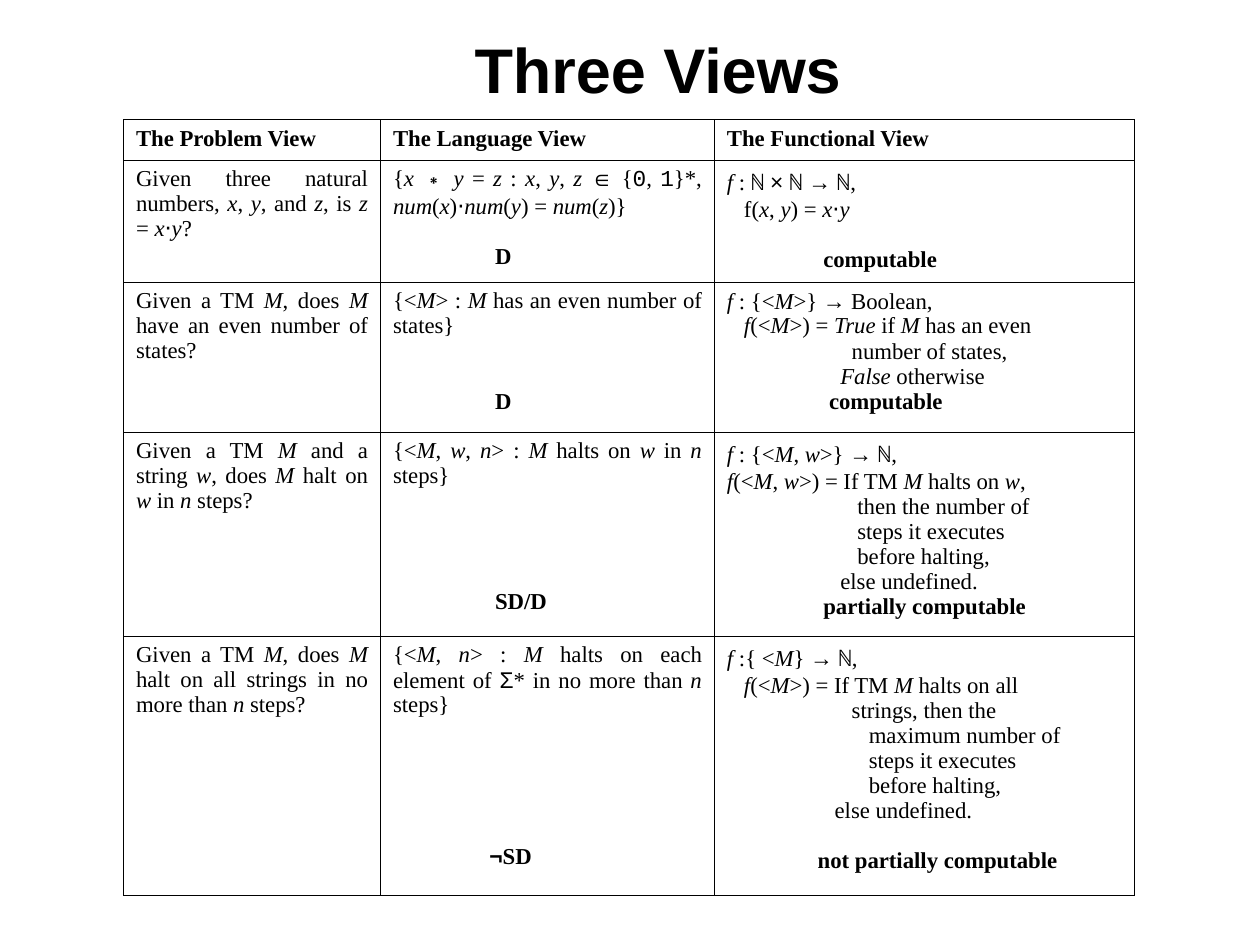
from itertools import groupby

from lxml import etree
from pptx import Presentation
from pptx.dml.color import RGBColor
from pptx.enum.text import MSO_ANCHOR, PP_ALIGN
from pptx.oxml import parse_xml
from pptx.oxml.ns import nsdecls, qn
from pptx.util import Inches, Pt

CENTER = PP_ALIGN.CENTER
JUSTIFY = PP_ALIGN.JUSTIFY
MIDDLE = MSO_ANCHOR.MIDDLE
TOP = MSO_ANCHOR.TOP

COLORS = {"ink": "000000", "paper": "FFFFFF"}
TITLE_FONT = "Arial"
BODY_FONT = "Times New Roman"
SYMBOL_FONTS = {
    **dict.fromkeys("⋅∗∈×→Σ¬", "Arial"),
    "ℕ": "Noto Sans Mono",
    **dict.fromkeys("01", "Courier New"),
}
ITALIC_MARK = "_"
BOLD_MARK = "|"
BODY_SIZE = 13
LINE_HEIGHT = 14.4
INDENT_STEP = 0.045
BORDER_WIDTH = 0.45

COLUMN_WIDTHS = [2.04, 2.65, 3.33]
ROW_HEIGHTS = [0.32, 0.97, 1.19, 1.62, 2.06]


def line(text, indent=0, blank_lines=0):
    return text, indent, blank_lines


VIEWS = [
    [
        [line("|The Problem View|")],
        [line("|The Language View|")],
        [line("|The Functional View|")],
    ],
    [
        [line("Given three natural numbers, _x_, _y_, and _z_, is _z_ = _x_⋅_y_?")],
        [
            line("{_x_ ∗ _y_ = _z_ : _x_, _y_, _z_ ∈ {0, 1}*, "
                 "_num_(_x_)⋅_num_(_y_) = _num_(_z_)}"),
            line("|D|", 18, 1),
        ],
        [
            line("_f_ : ℕ × ℕ → ℕ,"),
            line("f(_x_, _y_) = _x_⋅_y_", 3),
            line("|computable|", 17, 1),
        ],
    ],
    [
        [line("Given a TM _M_, does _M_ have an even number of states?")],
        [
            line("{<_M_> : _M_ has an even number of states}"),
            line("|D|", 18, 2),
        ],
        [
            line("_f_ : {<_M_>} → Boolean,"),
            line("_f_(<_M_>) = _True_ if _M_ has an even", 3),
            line("number of states,", 22),
            line("_False_ otherwise", 20),
            line("|computable|", 18),
        ],
    ],
    [
        [line("Given a TM _M_ and a string _w_, does _M_ halt on _w_ in _n_ steps?")],
        [
            line("{<_M_, _w_, _n_> : _M_ halts on _w_ in _n_ steps}"),
            line("|SD/D|", 18, 4),
        ],
        [
            line("_f_ : {<_M_, _w_>} → ℕ,"),
            line("_f_(<_M_, _w_>) = If TM _M_ halts on _w_,"),
            line("then the number of", 23),
            line("steps it executes", 23),
            line("before halting,", 23),
            line("else undefined.", 20),
            line("|partially computable|", 17),
        ],
    ],
    [
        [line("Given a TM _M_, does _M_ halt on all strings in no more than _n_ steps?")],
        [
            line("{<_M_, _n_> : _M_ halts on each element of Σ* "
                 "in no more than _n_ steps}"),
            line("|¬SD|", 17, 5),
        ],
        [
            line("_f_ :{ <_M_} → ℕ,"),
            line("_f_(<_M_>) = If TM _M_ halts on all", 3),
            line("strings, then the", 22),
            line("maximum number of", 25),
            line("steps it executes", 25),
            line("before halting,", 25),
            line("else undefined.", 19),
            line("|not partially computable|", 16, 1),
        ],
    ],
]


def styled_characters(text, font_name):
    italic = bold = False
    for character in text:
        if character == ITALIC_MARK:
            italic = not italic
        elif character == BOLD_MARK:
            bold = not bold
        else:
            yield character, (SYMBOL_FONTS.get(character, font_name), italic, bold)


def write_text(paragraph, text, size=BODY_SIZE, font_name=BODY_FONT,
               alignment=JUSTIFY, indent=0, blank_lines=0):
    paragraph.alignment = alignment
    if blank_lines:
        paragraph.space_before = Pt(blank_lines * LINE_HEIGHT)
    if indent:
        properties = paragraph._p.get_or_add_pPr()
        properties.set("marL", str(Inches(indent * INDENT_STEP)))
        properties.set("indent", "0")
    for style, group in groupby(styled_characters(text, font_name), lambda pair: pair[1]):
        run = paragraph.add_run()
        run.text = "".join(character for character, _ in group)
        font = run.font
        font.name, font.italic, font.bold = style
        font.size = Pt(size)
        font.color.rgb = RGBColor.from_string(COLORS["ink"])
        east_asian = etree.SubElement(run._r.rPr, qn("a:ea"))
        east_asian.set("typeface", style[0])


class SlideBuilder:
    def __init__(self, presentation):
        self.slide = presentation.slides.add_slide(presentation.slide_layouts[6])
        fill = self.slide.background.fill
        fill.solid()
        fill.fore_color.rgb = RGBColor.from_string(COLORS["paper"])

    def add_title(self, text, left, top, width, height):
        shape = self.slide.shapes.add_textbox(
            Inches(left), Inches(top), Inches(width), Inches(height))
        frame = shape.text_frame
        frame.word_wrap = True
        frame.vertical_anchor = MIDDLE
        write_text(frame.paragraphs[0], f"|{text}|", size=36,
                   font_name=TITLE_FONT, alignment=CENTER)

    def add_table(self, rows, left, top):
        shape = self.slide.shapes.add_table(
            len(ROW_HEIGHTS), len(COLUMN_WIDTHS), Inches(left), Inches(top),
            Inches(sum(COLUMN_WIDTHS)), Inches(sum(ROW_HEIGHTS)))
        table = shape.table
        table.first_row = False
        table.horz_banding = False
        for column, width in zip(table.columns, COLUMN_WIDTHS):
            column.width = Inches(width)
        for row, height, contents in zip(table.rows, ROW_HEIGHTS, rows):
            row.height = Inches(height)
            for cell, lines in zip(row.cells, contents):
                self.fill_cell(cell, lines)

    def fill_cell(self, cell, lines):
        cell.fill.background()
        cell.vertical_anchor = TOP
        self.add_borders(cell)
        frame = cell.text_frame
        for number, (text, indent, blank_lines) in enumerate(lines):
            paragraph = frame.add_paragraph() if number else frame.paragraphs[0]
            write_text(paragraph, text, indent=indent, blank_lines=blank_lines)

    def add_borders(self, cell):
        properties = cell._tc.get_or_add_tcPr()
        for position, side in enumerate("LRTB"):
            properties.insert(position, parse_xml(
                f'<a:ln{side} {nsdecls("a")} w="{Pt(BORDER_WIDTH)}"><a:solidFill>'
                f'<a:srgbClr val="{COLORS["ink"]}"/></a:solidFill></a:ln{side}>'))


def main():
    presentation = Presentation()
    presentation.slide_width = Inches(10)
    presentation.slide_height = Inches(7.5)
    builder = SlideBuilder(presentation)
    builder.add_title("Three Views ", 0.58, 0.08, 9.42, 0.92)
    builder.add_table(VIEWS, 0.98, 0.95)
    presentation.save("out.pptx")


if __name__ == "__main__":
    main()
